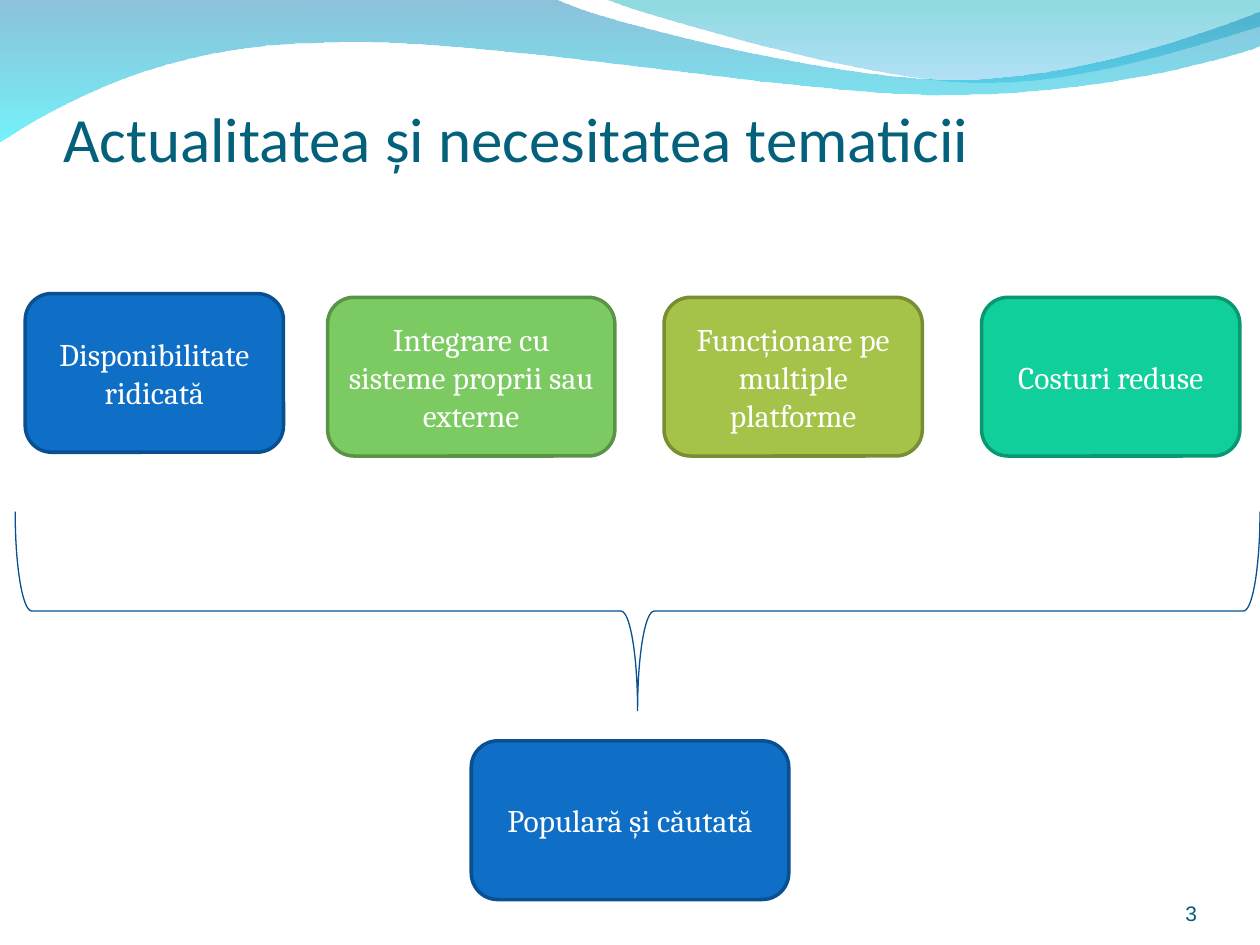
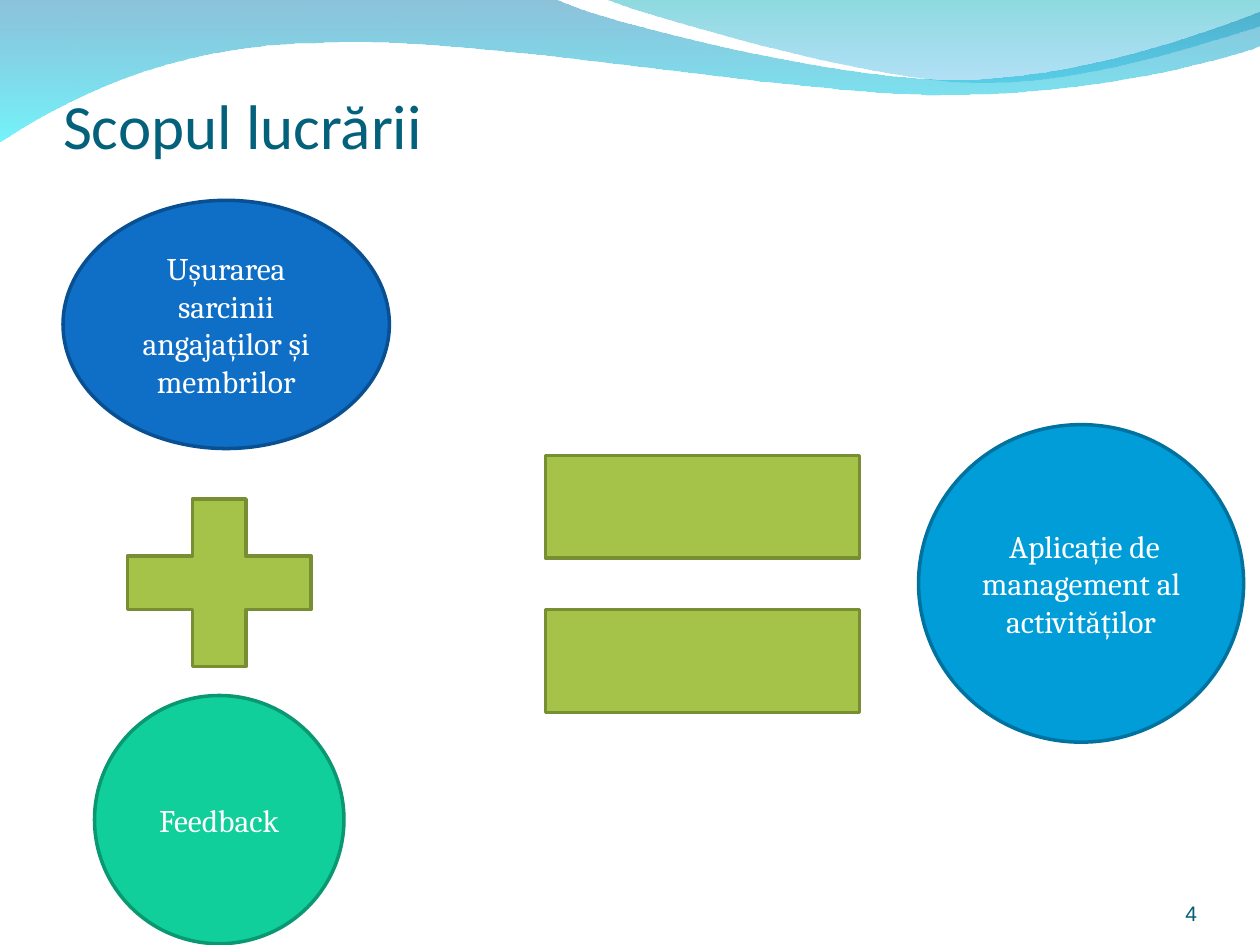
from lxml import etree
from pptx import Presentation
from pptx import util as u
from pptx.dml.color import RGBColor
from pptx.enum import shapes as sh, text as tx
from pptx.oxml import ns

WHITE = RGBColor(0xFF, 0xFF, 0xFF)
TEAL = RGBColor(0x04, 0x61, 0x7B)
PAGE = RGBColor(0x04, 0x5C, 0x75)
BRACE = RGBColor(0x06, 0x50, 0x93)
# Pairs of fill and outline
BLUE = RGBColor(0x0F, 0x6F, 0xC6), RGBColor(0x08, 0x50, 0x91)
MINT = RGBColor(0x10, 0xCF, 0x9B), RGBColor(0x09, 0x98, 0x71)
OLIVE = RGBColor(0xA5, 0xC2, 0x49), RGBColor(0x78, 0x8E, 0x33)
GREEN = RGBColor(0x7C, 0xCA, 0x62), RGBColor(0x59, 0x94, 0x46)
SKY = RGBColor(0x00, 0x9D, 0xD9), RGBColor(0x00, 0x72, 0x9F)

# Wave outlines: a pair is a line's end, a six is a Bézier curve
LONG = [(0, -.01), (4.4, -.01), (4.76, .17, 6.64, .63, 7.58, .63),
        (8.53, .63, 9.58, .26, 10, .09), (10.01, .36),
        (9.83, .44, 8.7, .76, 7.46, .75), (6.22, .75, 3.82, .28, 2.57, .34),
        (1.29, .35, .46, .83, -.01, 1.13)]
SHORT = [(4.79, -.01), (5.09, .11, 6.82, .62, 7.69, .65),
         (8.56, .69, 9.61, .32, 10, .21), (10, 0)]
LONG_STOPS = [(RGBColor(0x00, 0x79, 0xAF), 45), (RGBColor(0x00, 0xEB, 0xF8), 55)]
SHORT_STOPS = [(RGBColor(0x00, 0xAD, 0xB6), 45), (RGBColor(0x00, 0x9B, 0xE5), 30)]


def inches(*nums):
    return [u.Inches(n) for n in nums]


def write(shape, words, size=18, font="Cambria", color=WHITE,
          align=tx.PP_ALIGN.CENTER, anchor=tx.MSO_ANCHOR.MIDDLE,
          pads=(.1, .05, .1, .05)):
    frame = shape.text_frame
    frame.word_wrap = True
    frame.auto_size = tx.MSO_AUTO_SIZE.NONE
    frame.vertical_anchor = anchor
    (frame.margin_left, frame.margin_top,
     frame.margin_right, frame.margin_bottom) = inches(*pads)
    par = frame.paragraphs[0]
    par.alignment = align
    run = par.add_run()
    run.text = words
    run.font.size = u.Pt(size)
    run.font.name = font
    run.font.color.rgb = color


def block(slide, kind, box, paint, words=None):
    shape = slide.shapes.add_shape(kind, *inches(*box))
    shape.shadow.inherit = False
    shape.fill.solid()
    shape.fill.fore_color.rgb, shape.line.color.rgb = paint
    shape.line.width = u.Pt(2)
    if words:
        write(shape, words)


def bend(shape, outline):
    """Merge each three lines that stand for a curve into one Bézier."""
    lines = iter(list(shape.element.iter(ns.qn("a:lnTo"))))
    for part in outline[1:]:
        curve = next(lines)
        if len(part) == 6:
            curve.tag = ns.qn("a:cubicBezTo")
            for line in (next(lines), next(lines)):
                curve.append(line[0])
                line.getparent().remove(line)


def wave(slide, outline, stops):
    """Draw a wave and move it to the layout, behind the placeholders."""
    dots = [inches(*part[i:i + 2])
            for part in outline for i in range(0, len(part), 2)]
    pen = slide.shapes.build_freeform(*dots[0])
    pen.add_line_segments(dots[1:], close=True)
    shape = pen.convert_to_shape()
    bend(shape, outline)
    shape.shadow.inherit = False
    shape.line.fill.background()
    shape.fill.gradient()
    shape.fill.gradient_angle = 270
    for stop, (color, _) in zip(shape.fill.gradient_stops, stops):
        stop.color.rgb = color
    for node, (_, alpha) in zip(shape.element.iter(ns.qn("a:gs")), stops):
        etree.SubElement(node[0], ns.qn("a:alpha"), val=str(alpha * 1000))
    slide.slide_layout.shapes.element.insert_element_before(
        shape.element, "p:sp")


def base(deck, name, top, height, page):
    """Add a slide with its title and page number."""
    slide = deck.slides.add_slide(deck.slide_layouts[5])
    title = slide.shapes.title
    title.left, title.top, title.width, title.height = inches(.5, top, 9, height)
    write(title, name, size=36, font="Calibri", color=TEAL,
          align=tx.PP_ALIGN.LEFT, anchor=tx.MSO_ANCHOR.BOTTOM,
          pads=(0, .05, 0, 0))
    foot = slide.shapes.add_textbox(*inches(8.67, 6.95, .83, .4))
    write(foot, str(page), size=12, font="Arial", color=PAGE,
          align=tx.PP_ALIGN.RIGHT, anchor=tx.MSO_ANCHOR.BOTTOM,
          pads=(0, 0, 0, 0))
    return slide


def brace(slide, left, top, width, height):
    """Brace that opens upwards: an upright one, turned about its centre."""
    shift = (width - height) / 2
    shape = slide.shapes.add_shape(
        sh.MSO_SHAPE.RIGHT_BRACE,
        *inches(left + shift, top - shift, height, width))
    shape.rotation = 90
    shape.shadow.inherit = False
    shape.fill.background()
    shape.line.color.rgb = BRACE
    shape.line.width = u.Pt(.75)


def needs(slide, left, top):
    """Row of reasons, gathered by a brace into one result."""
    round_box = sh.MSO_SHAPE.ROUNDED_RECTANGLE
    reasons = [
        (0, 0, 2.05, BLUE, "Disponibilitate ridicată"),
        (2.4, .03, 2.28, GREEN, "Integrare cu sisteme proprii sau externe"),
        (5.07, .03, 2.05, OLIVE, "Funcționare pe multiple platforme"),
        (7.59, .03, 2.05, MINT, "Costuri reduse")]
    for x, y, width, paint, words in reasons:
        block(slide, round_box, (left + x, top + y, width, 1.26), paint, words)
    brace(slide, left - .08, top + 1.73, 9.88, 1.58)
    block(slide, round_box, (left + 3.54, top + 3.55, 2.52, 1.26), BLUE,
          "Populară și căutată")


def goal(slide, left, top):
    """Sum of two aims that equals the application."""
    oval = sh.MSO_SHAPE.OVAL
    block(slide, oval, (left, top, 2.59, 1.97), BLUE,
          "Ușurarea sarcinii angajaților și membrilor")
    block(slide, sh.MSO_SHAPE.MATH_PLUS,
          (left + .25, top + 2.13, 1.98, 1.81), OLIVE)
    block(slide, oval, (left + .25, top + 3.93, 1.98, 1.97), MINT, "Feedback")
    block(slide, sh.MSO_SHAPE.MATH_EQUAL,
          (left + 3.38, top + 1.31, 3.39, 3.47), OLIVE)
    block(slide, oval, (left + 6.79, top + 1.78, 2.58, 2.52), SKY,
          " Aplicație de management al activităților")


def main():
    deck = Presentation()
    deck.slide_width, deck.slide_height = inches(10, 7.5)
    first = base(deck, "Actualitatea și necesitatea tematicii", .68, .71, 3)
    wave(first, LONG, LONG_STOPS)
    wave(first, SHORT, SHORT_STOPS)
    needs(first, .2, 2.33)
    second = base(deck, "Scopul lucrării", .5, .79, 4)
    goal(second, .5, 1.59)
    deck.save("out.pptx")


if __name__ == "__main__":
    main()
